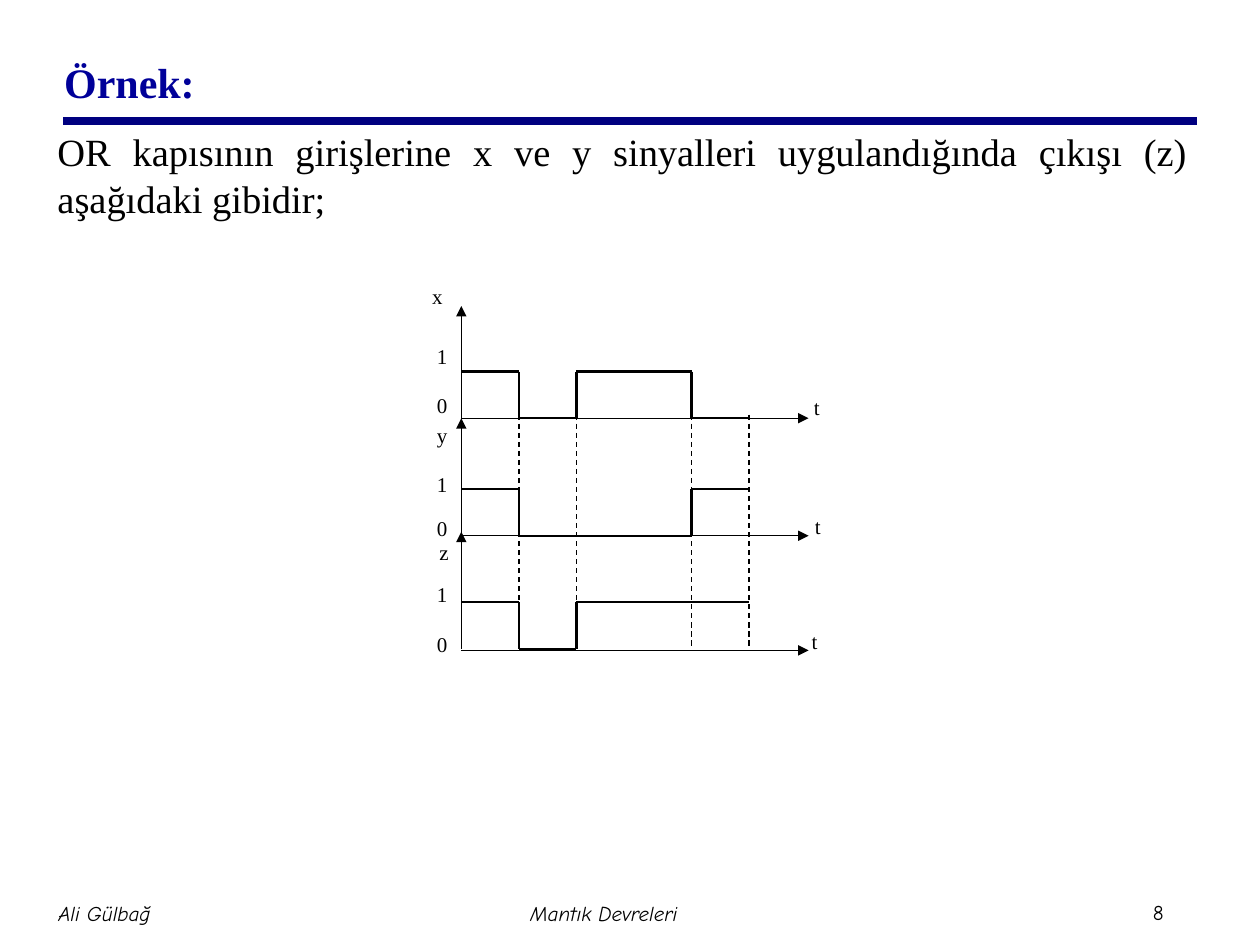
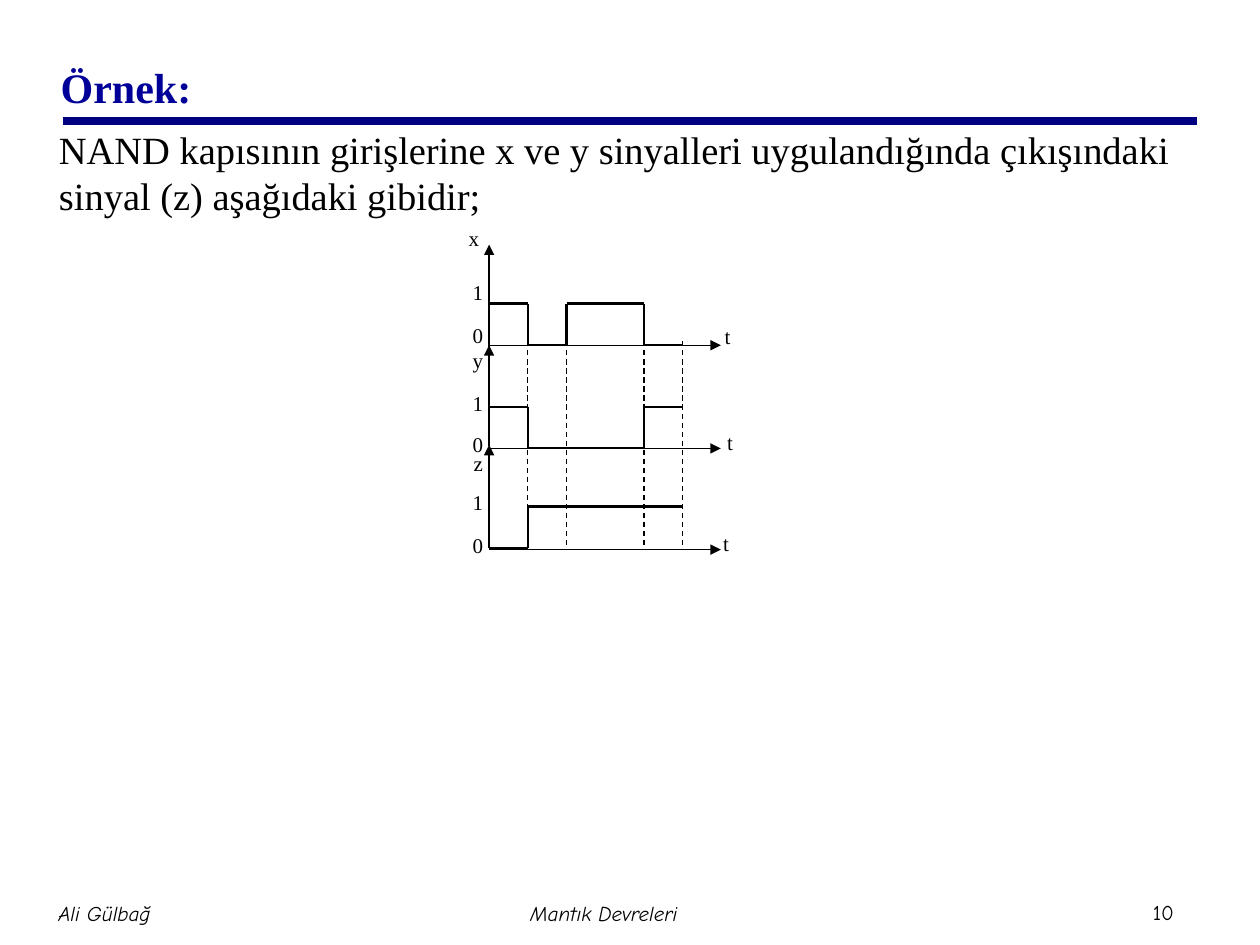
from collections import namedtuple
from dataclasses import dataclass

from lxml import etree
from pptx import Presentation
from pptx import util as u
from pptx.dml.color import RGBColor
from pptx.enum import dml, shapes, text
from pptx.oxml.ns import qn


@dataclass(frozen=True)
class Theme:
    ink: RGBColor = RGBColor(0, 0, 0)
    title_blue: RGBColor = RGBColor(0, 0, 0x99)
    rule_blue: RGBColor = RGBColor(0, 0, 0x80)
    paper: RGBColor = RGBColor(255, 255, 255)
    serif: str = "Times New Roman"
    footer_face: str = "Comic Neue"
    title_size: float = 24
    body_size: float = 22
    small_size: float = 12
    rule: float = 4.5
    axis: float = 0.75
    wave: float = 1.25


theme = Theme()
Signal = namedtuple("Signal", "name levels base arrow_from arrow_to name_at one_top zero_top time_at")
Diagram = namedtuple("Diagram", "left step axis_length pulse dash_top label_left label_width signals")
Example = namedtuple("Example", "number title_at body_at body_align body diagram")

EDGES = (0, 1, 2, 4, 5)

examples = [
    Example(
        "8", (1.04, 0.56), (0.91, 2.46), text.PP_ALIGN.JUSTIFY,
        "OR kapısının girişlerine x ve y sinyalleri uygulandığında çıkışı (z) aşağıdaki gibidir;",
        Diagram(9.3, 1.16, 7, 0.94, 8.36, 8.81, 0.58, [
            Signal("x", (1, 0, 1, 0), 8.43, 10.74, 6.17, (8.71, 5.72), 6.93, 7.92, (16.41, 7.95)),
            Signal("y", (1, 0, 0, 1), 10.8, 9.37, 8.43, (8.81, 8.51), 9.5, 10.39, (16.43, 10.36)),
            Signal("z", (1, 0, 1, 1), 13.08, 13.08, 10.72, (8.86, 10.87), 11.73, 12.73, (16.36, 12.67)),
        ]),
    ),
    Example(
        "10", (0.97, 0.66), (0.94, 2.41), text.PP_ALIGN.LEFT,
        "NAND kapısının girişlerine x ve y sinyalleri uygulandığında çıkışındaki sinyal (z) aşağıdaki gibidir;",
        Diagram(9.86, 0.78, 4.67, 0.84, 6.88, 9.53, 0.38, [
            Signal("x", (1, 0, 1, 0), 6.96, 8.99, 4.93, (9.45, 4.55), 5.64, 6.5, (14.61, 6.53)),
            Signal("y", (1, 0, 0, 1), 9.04, 7.77, 6.96, (9.53, 7.01), 7.87, 8.69, (14.66, 8.66)),
            Signal("z", (0, 1, 1, 1), 11.05, 11.05, 8.97, (9.55, 9.09), 9.86, 10.74, (14.58, 10.69)),
        ]),
    ),
]


def add_line(target, start, end, width, color=theme.ink, dashed=False, arrow=False):
    line = target.add_connector(
        shapes.MSO_CONNECTOR.STRAIGHT, *(u.Cm(value) for value in (*start, *end)))
    line.line.color.rgb = color
    line.line.width = u.Pt(width)
    if dashed:
        line.line.dash_style = dml.MSO_LINE.DASH
    if arrow:
        etree.SubElement(line.line._get_or_add_ln(), qn("a:tailEnd"), type="triangle")
    etree.SubElement(line._element.spPr, qn("a:effectLst"))


def add_text(target, words, area, size, face, inset=0, italic=False,
             align=text.PP_ALIGN.LEFT, anchor=text.MSO_ANCHOR.TOP):
    box = target.add_textbox(*(u.Cm(value) for value in area))
    frame = box.text_frame
    frame.word_wrap = True
    frame.vertical_anchor = anchor
    frame.margin_left = frame.margin_right = u.Cm(inset)
    frame.margin_top = frame.margin_bottom = u.Cm(min(inset, 0.13))
    para = frame.paragraphs[0]
    para.text = words
    para.alignment = align
    para.font.name = face
    para.font.size = u.Pt(size)
    para.font.italic = italic
    para.font.color.rgb = theme.ink
    return para


deck = Presentation()
deck.slide_width, deck.slide_height = u.Cm(25.4), u.Cm(19.05)
title_only = deck.slide_layouts[5]
deck.slide_master.background.fill.solid()
deck.slide_master.background.fill.fore_color.rgb = theme.paper

for example in examples:
    page = deck.slides.add_slide(title_only)

    add_line(page.shapes, (1.27, 2.44), (24.13, 2.44), theme.rule, theme.rule_blue)
    for words, area, italic, align in (
        (example.number, (23.11, 18.01, 1.19, 0.76), False, text.PP_ALIGN.LEFT),
        ("Ali Gülbağ", (-2.44, 17.78, 9.09, 1.27), True, text.PP_ALIGN.CENTER),
        ("Mantık Devreleri ", (7.7, 17.78, 9.09, 1.27), True, text.PP_ALIGN.CENTER),
    ):
        add_text(page.shapes, words, area, theme.small_size, theme.footer_face,
                 0.13, italic, align, text.MSO_ANCHOR.MIDDLE)

    title = page.shapes.title
    title.left, title.top = (u.Cm(value) for value in example.title_at)
    title.width, title.height = u.Cm(21.59), u.Cm(2.18)
    title.text_frame.auto_size = text.MSO_AUTO_SIZE.NONE
    title.text_frame.vertical_anchor = text.MSO_ANCHOR.MIDDLE
    heading = title.text_frame.paragraphs[0]
    heading.text = "Örnek:"
    heading.alignment = text.PP_ALIGN.LEFT
    heading.font.name = theme.serif
    heading.font.size = u.Pt(theme.title_size)
    heading.font.bold = True
    heading.font.color.rgb = theme.title_blue

    body = add_text(page.shapes, example.body, (*example.body_at, 23.27, 14.1),
                    theme.body_size, theme.serif, 0.25, align=example.body_align)
    body.space_before = u.Pt(4.4)

    diagram = example.diagram
    group = page.shapes.add_group_shape().shapes
    edges = [diagram.left + edge * diagram.step for edge in EDGES]
    bottom = diagram.signals[-1].base

    for edge in edges[1:]:
        add_line(group, (edge, diagram.dash_top), (edge, bottom), theme.axis, dashed=True)

    for signal in diagram.signals:
        add_line(group, (diagram.left, signal.arrow_from), (diagram.left, signal.arrow_to),
                 theme.axis, arrow=True)
        axis_y = signal.base + (0.03 if signal.base == bottom else 0)
        add_line(group, (diagram.left, axis_y), (diagram.left + diagram.axis_length, axis_y),
                 theme.axis, arrow=True)

        heights = [signal.base - level * diagram.pulse for level in signal.levels]
        for start, end, height in zip(edges, edges[1:], heights):
            add_line(group, (start, height), (end, height), theme.wave)
        for edge, before, after in zip(edges[1:], heights, heights[1:]):
            if before != after:
                add_line(group, (edge, before), (edge, after), theme.wave)

        for words, place in (
            (signal.name, signal.name_at),
            ("1", (diagram.label_left, signal.one_top)),
            ("0", (diagram.label_left, signal.zero_top)),
            ("t", signal.time_at),
        ):
            add_text(group, words, (*place, diagram.label_width, diagram.pulse),
                     theme.small_size, theme.serif)

deck.save("out.pptx")
